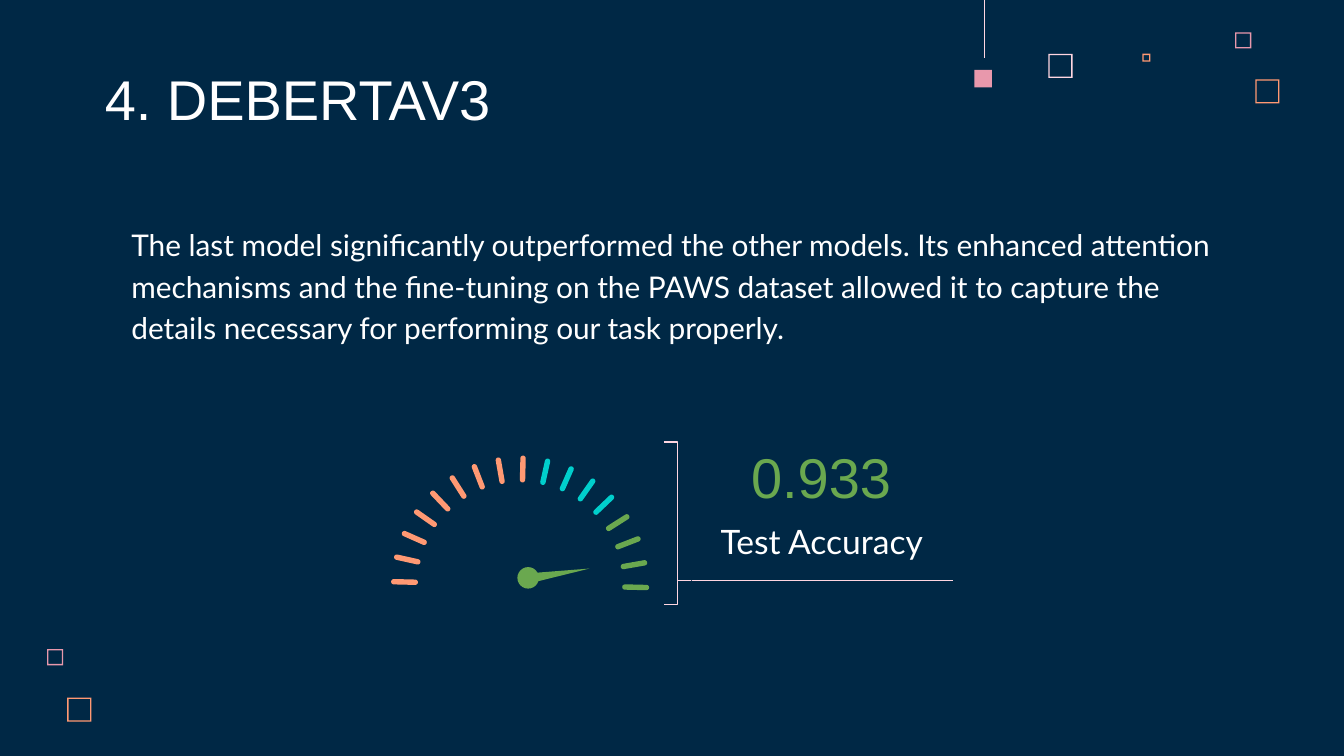
from dataclasses import dataclass
from math import cos, radians, sin

from pptx import Presentation
from pptx.dml.color import RGBColor
from pptx.enum import shapes, text
from pptx.oxml import parse_xml
from pptx.oxml.ns import nsdecls
from pptx.util import Inches, Pt

NAVY, WHITE = "002845", "FFFFFF"
BLUSH, PINK, ORANGE = "FFD6E1", "E898AC", "FF9973"
TEAL, GREEN = "00CFCC", "6AA84F"
SHAPE = shapes.MSO_SHAPE


@dataclass
class Square:
    left: float
    top: float
    size: float
    color: str


@dataclass
class Label:
    words: str
    box: tuple[float, float, float, float]
    font: str
    size: float
    color: str = WHITE
    align: text.PP_ALIGN = text.PP_ALIGN.LEFT
    anchor: text.MSO_ANCHOR = text.MSO_ANCHOR.TOP
    spacing: float = 1.0


FRAMES = [
    Square(7.8, 0.4, 0.18, BLUSH),
    Square(9.19, 0.24, 0.12, PINK),
    Square(8.5, 0.4, 0.06, ORANGE),
    Square(9.34, 0.59, 0.18, ORANGE),
    Square(0.35, 4.83, 0.12, PINK),
    Square(0.5, 5.19, 0.18, ORANGE),
]
FRAME_WIDTH = 0.01

TITLE = Label("4. DEBERTAV3", (0.68, 0.45, 5.17, 0.63), "Arial", 30,
              anchor=text.MSO_ANCHOR.BOTTOM)
LABELS = [
    Label("The last model significantly outperformed the other models. Its enhanced "
          "attention mechanisms and the fine-tuning on the PAWS dataset allowed it to "
          "capture the details necessary for performing our task properly.",
          (0.88, 1.55, 8.24, 1.28), "Lato", 16, spacing=1.15),
    Label("0.933", (5.24, 3.33, 1.74, 0.43), "Arial", 30, GREEN,
          text.PP_ALIGN.CENTER, text.MSO_ANCHOR.MIDDLE),
    Label("Test Accuracy", (5.16, 3.78, 1.91, 0.43), "Lato", 18,
          align=text.PP_ALIGN.CENTER),
]

TICK_COLORS = [ORANGE] * 9 + [TEAL] * 4 + [GREEN] * 4
GAUGE_X, GAUGE_Y, GAUGE_RADIUS = 3.87, 4.35, 0.86
GAUGE_TILT = 1.3
TICK_LENGTH, TICK_WIDTH = 0.2, 0.04


def rgb(color: str) -> RGBColor:
    return RGBColor.from_string(color)


def add_filled(s, kind, box: tuple, color: str, rotation: float = 0):
    sp = s.shapes.add_shape(kind, *map(Inches, box))
    sp.shadow.inherit = False
    sp.fill.solid()
    sp.fill.fore_color.rgb = rgb(color)
    sp.line.fill.background()
    sp.rotation = rotation
    return sp


def add_frame(s, square: Square) -> None:
    sp = add_filled(s, SHAPE.FRAME,
                    (square.left, square.top, square.size, square.size), square.color)
    sp.adjustments[0] = FRAME_WIDTH / square.size


def add_line(s, start: tuple, end: tuple, width: float) -> None:
    line = s.shapes.add_connector(shapes.MSO_CONNECTOR.STRAIGHT,
                                  *map(Inches, start + end))
    line.line.color.rgb = rgb(BLUSH)
    line.line.width = Pt(width)
    line._element.spPr.append(parse_xml(f"<a:effectLst {nsdecls('a')}/>"))


def add_gauge(s) -> None:
    step = 180 / (len(TICK_COLORS) - 1)
    for i, color in enumerate(TICK_COLORS):
        turn = i * step + GAUGE_TILT
        x = GAUGE_X - GAUGE_RADIUS * cos(radians(turn))
        y = GAUGE_Y - GAUGE_RADIUS * sin(radians(turn))
        tick = add_filled(s, SHAPE.ROUNDED_RECTANGLE,
                          (x - TICK_LENGTH / 2, y - TICK_WIDTH / 2,
                           TICK_LENGTH, TICK_WIDTH), color, turn)
        tick.adjustments[0] = 0.5
    add_filled(s, SHAPE.OVAL, (3.85, 4.22, 0.16, 0.16), GREEN)
    add_filled(s, SHAPE.ISOSCELES_TRIANGLE, (4.14, 4.05, 0.07, 0.43), GREEN, 80.8)


def add_bracket(s) -> None:
    sp = s.shapes.add_shape(SHAPE.RIGHT_BRACE, *map(Inches, (4.94, 3.29, 0.2, 1.21)))
    sp.shadow.inherit = False
    sp.fill.background()
    sp.line.color.rgb = rgb(BLUSH)
    sp.line.width = Pt(0.75)
    sp.adjustments[0], sp.adjustments[1] = 0, 0.85


def write_label(sp, label: Label) -> None:
    sp.left, sp.top, sp.width, sp.height = map(Inches, label.box)
    tf = sp.text_frame
    frame_format = {"word_wrap": True, "auto_size": text.MSO_AUTO_SIZE.NONE,
                    "vertical_anchor": label.anchor}
    margins = ("margin_left", "margin_top", "margin_right", "margin_bottom")
    frame_format.update(dict.fromkeys(margins, Inches(0.1)))
    for name, value in frame_format.items():
        setattr(tf, name, value)
    p = tf.paragraphs[0]
    p.alignment, p.line_spacing = label.align, label.spacing
    r = p.add_run()
    r.text = label.words
    for name, value in {"name": label.font, "size": Pt(label.size)}.items():
        setattr(r.font, name, value)
    r.font.color.rgb = rgb(label.color)


def main() -> None:
    prs = Presentation()
    prs.slide_width = Inches(10)
    prs.slide_height = prs.slide_width * 9 // 16
    s = prs.slides.add_slide(prs.slide_layouts[5])
    s.background.fill.solid()
    s.background.fill.fore_color.rgb = rgb(NAVY)

    for square in FRAMES:
        add_frame(s, square)
    add_filled(s, SHAPE.RECTANGLE, (7.25, 0.52, 0.13, 0.13), PINK)
    add_line(s, (7.32, 0), (7.32, 0.43), 0.25)

    write_label(s.shapes.title, TITLE)
    for label in LABELS:
        write_label(s.shapes.add_textbox(0, 0, 0, 0), label)

    add_gauge(s)
    add_bracket(s)
    add_line(s, (5.15, 4.32), (7.09, 4.32), 0.75)
    prs.save("out.pptx")


if __name__ == "__main__":
    main()
